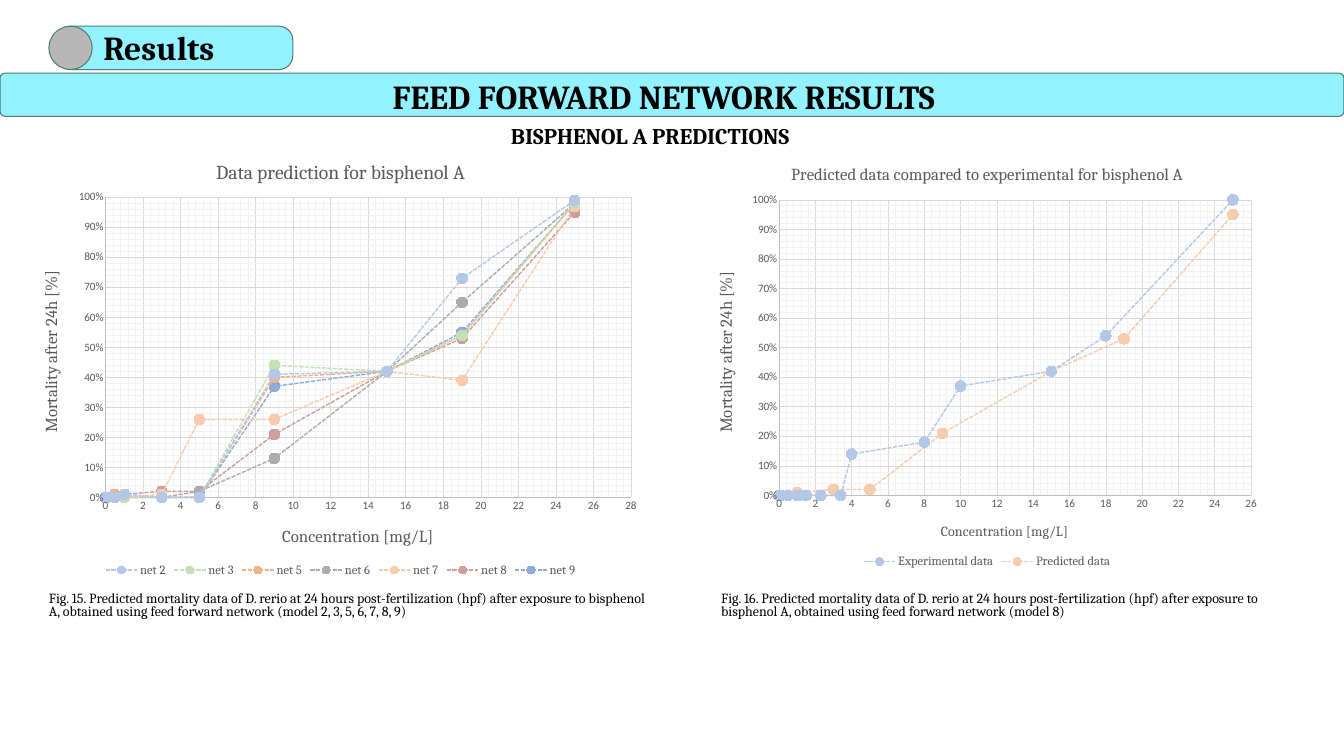
"""Build the feed forward network results slide with two mortality scatter charts."""
from dataclasses import dataclass

from pptx import Presentation
from pptx.chart.data import XyChartData
from pptx.dml.color import RGBColor
from pptx.enum.chart import XL_CHART_TYPE, XL_LEGEND_POSITION, XL_MARKER_STYLE, XL_TICK_MARK
from pptx.enum.dml import MSO_LINE
from pptx.enum.shapes import MSO_SHAPE
from pptx.enum.text import MSO_ANCHOR, MSO_AUTO_SIZE, PP_ALIGN
from pptx.oxml import parse_xml
from pptx.oxml.ns import nsdecls, qn
from pptx.util import Pt

PX = 9144


@dataclass(frozen=True)
class Theme:
    serif: str = "Cambria"
    sans: str = "Calibri"
    ink: str = "000000"
    muted: str = "595959"
    band: str = "94F2FF"
    knob: str = "B7B7B7"
    outline: str = "4C7D77"
    axis: str = "BFBFBF"
    major_grid: str = "D9D9D9"
    minor_grid: str = "F2F2F2"
    heading: int = 48
    subheading: int = 32
    caption: int = 20
    axis_title: int = 24
    legend: int = 18
    tick: int = 16


theme = Theme()


def set_font(font, size, color, name=theme.serif, bold=False):
    font.size, font.name, font.bold = Pt(size), name, bold
    font.color.rgb = RGBColor.from_string(color)


def write(box, text, size, bold=False, spacing=1.0):
    frame = box.text_frame
    frame.margin_left = frame.margin_top = frame.margin_right = frame.margin_bottom = 0
    frame.word_wrap = True
    frame.auto_size = MSO_AUTO_SIZE.SHAPE_TO_FIT_TEXT
    frame.vertical_anchor = MSO_ANCHOR.TOP
    frame.text = text
    paragraph = frame.paragraphs[0]
    paragraph.alignment = PP_ALIGN.LEFT
    paragraph.line_spacing = spacing
    set_font(paragraph.font, size, theme.ink, bold=bold)


prs = Presentation()
prs.slide_width, prs.slide_height = 2667 * PX, 1500 * PX
slide = prs.slides.add_slide(prs.slide_layouts[5])
shapes = slide.shapes

bands = []
for preset, left, top, width, corner, fill in [
    (MSO_SHAPE.ROUNDED_RECTANGLE, 112, 52, 469, 0.32, theme.band),
    (MSO_SHAPE.OVAL, 97, 52, 86, None, theme.knob),
    (MSO_SHAPE.ROUNDED_RECTANGLE, 0, 145, 2667, 0.12, theme.band),
]:
    band = shapes.add_shape(preset, left * PX, top * PX, width * PX, 86 * PX)
    band.shadow.inherit = False
    band.fill.solid()
    band.fill.fore_color.rgb = RGBColor.from_string(fill)
    band.line.color.rgb = RGBColor.from_string(theme.outline)
    band.line.width = Pt(1.5)
    if corner:
        band.adjustments[0] = corner
    bands.append(band)

title = shapes.title
title.left, title.top, title.width, title.height = 779 * PX, 150 * PX, 1197 * PX, 81 * PX
write(title, "FEED FORWARD NETWORK RESULTS", theme.heading, bold=True)
bands[-1].element.addnext(title.element)

caption = (
    "Fig. {}. Predicted mortality data of D. rerio at 24 hours post-fertilization (hpf) "
    "after exposure to bisphenol A, obtained using feed forward network (model {})"
)
for left, top, width, height, text, size, bold, spacing in [
    (205, 56, 357, 79, "Results", theme.heading, True, Pt(56)),
    (1014, 242, 601, 54, "BISPHENOL A PREDICTIONS", theme.subheading, True, 1.0),
    (97, 1178, 1185, 53, caption.format(15, "2, 3, 5, 6, 7, 8, 9"), theme.caption, False, Pt(18)),
    (1431, 1178, 1138, 53, caption.format(16, "8"), theme.caption, False, Pt(18)),
]:
    box = shapes.add_textbox(left * PX, top * PX, width * PX, height * PX)
    write(box, text, size, bold, spacing)

net_doses = [0, 0.1, 0.5, 1, 3, 5, 9, 15, 19, 25]
tested_doses = [0, 0, 0, 0.1, 0.5, 1, 1.1, 1.5, 2.3, 3.4, 4, 8, 10, 15, 18, 25]
tested_mortality = [0] * 10 + [0.14, 0.18, 0.37, 0.42, 0.54, 1]
net_8 = [0, 0, 0, 0.01, 0.02, 0.02, 0.21, 0.42, 0.53, 0.95]

comparison = [
    ("Experimental data", tested_doses, tested_mortality, "B4C7E7", "4472C4"),
    ("Predicted data", net_doses, net_8, "F8CBAD", "ED7D31"),
]
networks = [
    (name, net_doses, mortality, color, marker_color)
    for name, mortality, color, marker_color in [
        ("net 2", [0, 0, 0, 0.01, 0, 0, 0.41, 0.42, 0.73, 0.99], "B4C7E7", "5B9BD5"),
        ("net 3", [0, 0, 0, 0, 0, 0, 0.44, 0.42, 0.54, 0.98], "C5E0B4", "70AD47"),
        ("net 5", [0, 0, 0.01, 0.01, 0, 0, 0.4, 0.42, 0.54, 0.98], "F4B183", "ED7D31"),
        ("net 6", [0, 0, 0, 0, 0, 0.02, 0.13, 0.42, 0.65, 0.98], "AFABAB", "A5A5A5"),
        ("net 7", [0, 0, 0, 0, 0.01, 0.26, 0.26, 0.42, 0.39, 0.97], "F8CBAD", "FFC000"),
        ("net 8", net_8, "CD9F9F", "C00000"),
        ("net 9", [0, 0, 0, 0, 0, 0, 0.37, 0.42, 0.55, 0.98], "8FAADC", "0070C0"),
    ]
]

for heading, heading_size, dose_size, max_dose, bounds, plot_bounds, curves in [
    ("Predicted data compared to experimental for bisphenol A", 24, 20, 26,
     (1401, 296, 1115, 838), (0.13, 0.12, 0.84, 0.7), comparison),
    ("Data prediction for bisphenol A", 28, 24, 28,
     (62, 288, 1227, 863), (0.12, 0.12, 0.85, 0.69), networks),
]:
    data = XyChartData()
    for name, doses, mortalities, color, marker_color in curves:
        points = data.add_series(name)
        for dose, mortality in zip(doses, mortalities):
            points.add_data_point(dose, mortality)
    chart = shapes.add_chart(
        XL_CHART_TYPE.XY_SCATTER_LINES, *(length * PX for length in bounds), data
    ).chart
    set_font(chart.font, 10, theme.ink, theme.sans)
    chart.has_title = True
    chart.chart_title.include_in_layout = False
    chart.has_legend = True
    chart.legend.position = XL_LEGEND_POSITION.BOTTOM
    chart.legend.include_in_layout = False
    set_font(chart.legend.font, theme.legend, theme.muted)

    plot = chart.plots[0]
    plot.vary_by_categories = False
    for series, (name, doses, mortalities, color, marker_color) in zip(plot.series, curves):
        series.smooth = False
        series.format.line.color.rgb = RGBColor.from_string(color)
        series.format.line.width = Pt(2)
        series.format.line.dash_style = MSO_LINE.SQUARE_DOT
        series.marker.style = XL_MARKER_STYLE.CIRCLE
        series.marker.size = 15
        series.marker.format.fill.solid()
        series.marker.format.fill.fore_color.rgb = RGBColor.from_string(marker_color)
        series.marker.format.line.fill.background()

    titles = [(chart.chart_title, heading, heading_size)]
    for axis, text, size, number_format, maximum, step in [
        (chart.category_axis, "Concentration [mg/L]", dose_size, "0", max_dose, 2),
        (chart.value_axis, "Mortality after 24h [%]", theme.axis_title, "0%", 1, 0.1),
    ]:
        axis.minimum_scale, axis.maximum_scale, axis.major_unit = 0, maximum, step
        axis.major_tick_mark = axis.minor_tick_mark = XL_TICK_MARK.NONE
        axis.has_major_gridlines = axis.has_minor_gridlines = True
        axis.has_title = True
        titles.append((axis.axis_title, text, size))
        axis.tick_labels.number_format = number_format
        axis.tick_labels.number_format_is_linked = False
        set_font(axis.tick_labels.font, theme.tick, theme.muted, theme.sans)
        for line, color in [
            (axis.format.line, theme.axis),
            (axis.major_gridlines.format.line, theme.major_grid),
        ]:
            line.color.rgb = RGBColor.from_string(color)
            line.width = Pt(0.75)
    for label, text, size in titles:
        label.text_frame.text = text
        set_font(label.text_frame.paragraphs[0].font, size, theme.muted)

    plot_area = chart.element.find(".//" + qn("c:plotArea"))
    for minor_grid in plot_area.findall(".//" + qn("c:minorGridlines")):
        minor_grid.append(parse_xml(
            f'<c:spPr {nsdecls("c", "a")}><a:ln w="{Pt(0.75)}"><a:solidFill>'
            f'<a:srgbClr val="{theme.minor_grid}"/></a:solidFill></a:ln></c:spPr>'
        ))
    for layout in plot_area.findall(qn("c:layout")):
        plot_area.remove(layout)
    places = "".join(f'<c:{key} val="{value}"/>' for key, value in zip("xywh", plot_bounds))
    plot_area.insert(0, parse_xml(
        f'<c:layout {nsdecls("c")}><c:manualLayout><c:layoutTarget val="inner"/>'
        f'<c:xMode val="edge"/><c:yMode val="edge"/>{places}</c:manualLayout></c:layout>'
    ))

prs.save("out.pptx")
